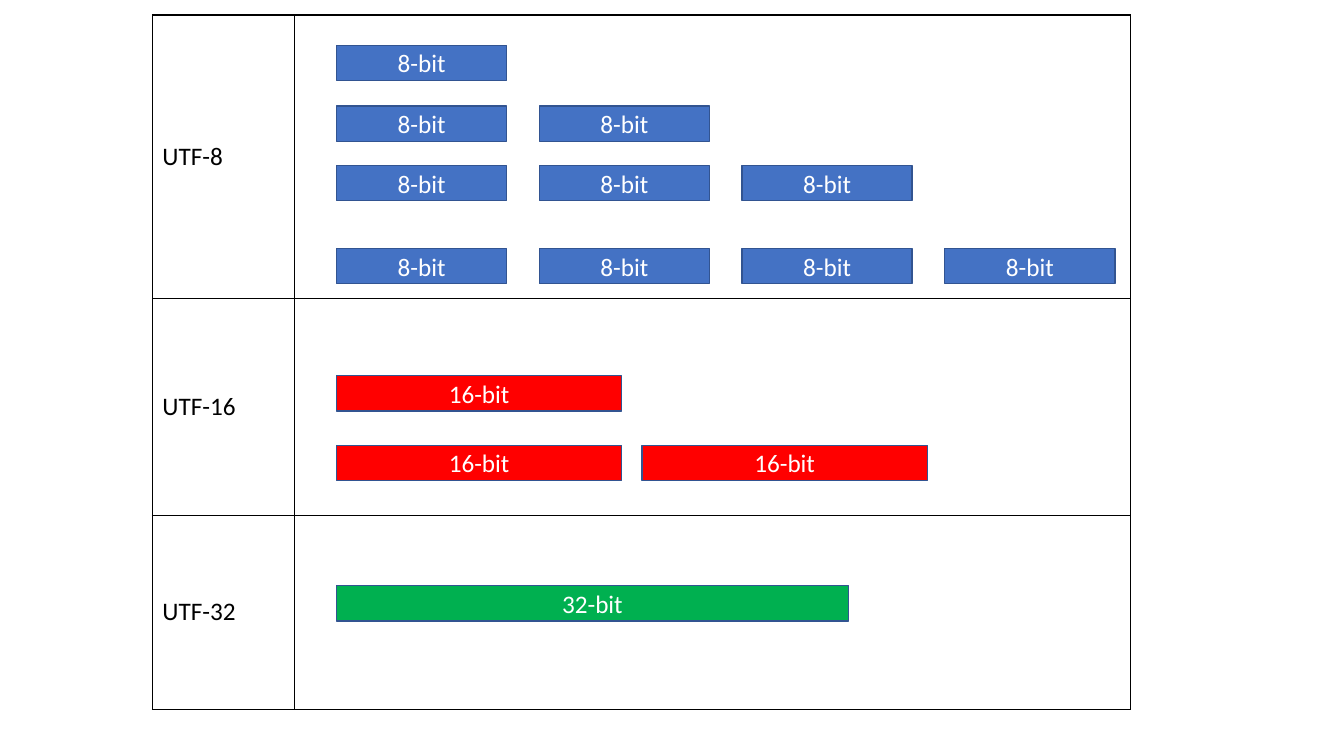
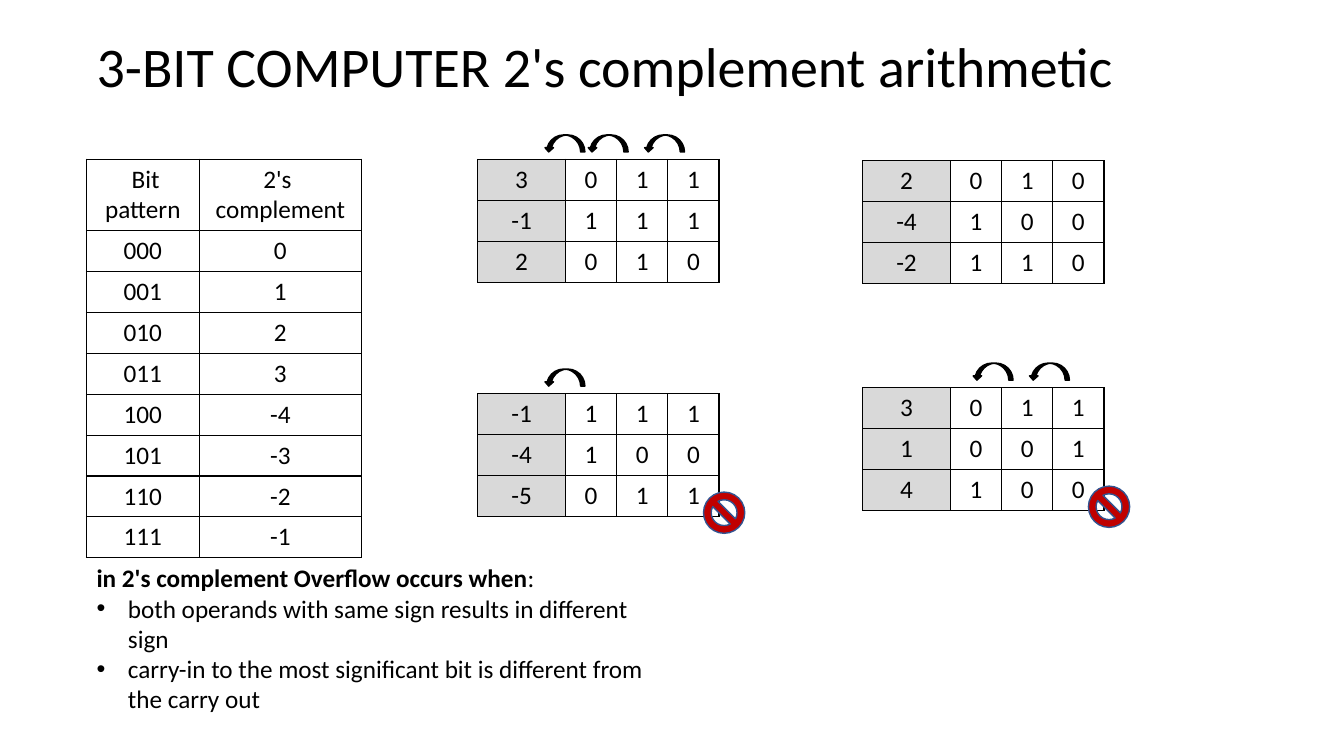
from pptx import Presentation
from pptx.dml.color import RGBColor
from pptx.enum.shapes import MSO_SHAPE
from pptx.enum.text import MSO_ANCHOR, MSO_AUTO_SIZE, PP_ALIGN
from pptx.oxml.ns import qn
from pptx.util import Cm, Pt
from lxml import etree

LEFT, CENTER = PP_ALIGN.LEFT, PP_ALIGN.CENTER
TOP, MIDDLE = MSO_ANCHOR.TOP, MSO_ANCHOR.MIDDLE
RECT, BAN = MSO_SHAPE.RECTANGLE, MSO_SHAPE.NO_SYMBOL
ARC = MSO_SHAPE.CURVED_DOWN_ARROW

# Shared look
FONT, SIZE = "Calibri", 18
BLACK, WHITE, GREY, NAVY = "000000", "FFFFFF", "D9D9D9", "325491"
BLUE, RED, GREEN, CRIMSON = "4472C4", "FF0000", "00B050", "C00000"
ROW = 1.03


def color(code):
    return RGBColor.from_string(code)


def style(para, code=BLACK, size=SIZE, align=LEFT):
    para.alignment = align
    para.font.name, para.font.size = FONT, Pt(size)
    para.font.color.rgb = color(code)


def border(cell):
    props = cell._tc.get_or_add_tcPr()
    for side in ("lnL", "lnR", "lnT", "lnB"):
        line = etree.SubElement(props, qn("a:" + side), w=str(Pt(1)))
        fill = etree.SubElement(line, qn("a:solidFill"))
        etree.SubElement(fill, qn("a:srgbClr"), val=BLACK)


def grid(slide, left, top, cols, rows, data, fill=None, align=CENTER,
         anchor=TOP):
    """Bordered table; cols and rows hold sizes in cm."""
    frame = slide.shapes.add_table(len(rows), len(cols), Cm(left), Cm(top),
                                   Cm(sum(cols)), Cm(sum(rows)))
    table = frame.table
    table.first_row = table.horz_banding = False
    for col, width in zip(table.columns, cols):
        col.width = Cm(width)
    for row, height, texts in zip(table.rows, rows, data):
        row.height = Cm(height)
        for cell, text in zip(row.cells, texts):
            cell.text = text
            cell.vertical_anchor = anchor
            for para in cell.text_frame.paragraphs:
                style(para, align=align)
            border(cell)
            if fill:
                cell.fill.solid()
                cell.fill.fore_color.rgb = color(fill)
            else:
                cell.fill.background()


def shape(slide, kind, left, top, width, height, fill, line=NAVY):
    item = slide.shapes.add_shape(kind, Cm(left), Cm(top), Cm(width),
                                  Cm(height))
    item.shadow.inherit = False
    item.fill.solid()
    item.fill.fore_color.rgb = color(fill)
    item.line.color.rgb = color(line)
    item.line.width = Pt(1)
    return item


def place(holder, left, top, width, height):
    holder.left, holder.top = Cm(left), Cm(top)
    holder.width, holder.height = Cm(width), Cm(height)
    frame = holder.text_frame
    frame.vertical_anchor = TOP
    frame.auto_size = MSO_AUTO_SIZE.NONE
    return frame


# Slide 1: code units of each encoding
def units(slide, left, top, label, fill, width, pitch, lines):
    """Line n holds n units; lines are offsets from the top of the row."""
    for count, drop in enumerate(lines, 1):
        for i in range(count):
            bar = shape(slide, RECT, left + 1.06 + i * pitch, top + drop,
                        width, 0.89, fill)
            frame = bar.text_frame
            frame.text = label
            frame.vertical_anchor = MIDDLE
            style(frame.paragraphs[0], WHITE, align=CENTER)


def codes(slide, left, top):
    cols = [3.58, 21.06]
    bands = [
        ("UTF-8", 7.14, "8-bit", BLUE, 4.29, 5.11, [0.76, 2.29, 3.79, 5.88]),
        ("UTF-16", 5.46, "16-bit", RED, 7.19, 7.7, [1.95, 3.7]),
        ("UTF-32", 4.9, "32-bit", GREEN, 12.9, 0, [1.78]),
    ]
    grid(slide, left, top, cols, [band[1] for band in bands],
         [(band[0], "") for band in bands], align=LEFT, anchor=MIDDLE)
    for name, height, *rest in bands:
        units(slide, left + cols[0], top, *rest)
        top += height


# Slide 2: two's complement
def values(slide, left, top):
    data = [(" Bit pattern", "2's \ncomplement")]
    data += [(f"{n:03b}", str(n if n < 4 else n - 8)) for n in range(8)]
    grid(slide, left, top, [2.84, 4.09], [1.78] + [ROW] * 8, data)


def addition(slide, left, top, terms, carries, over):
    """Terms with their bits, carry arrows above, sign on overflow."""
    rows = [ROW] * 3
    grid(slide, left + 2.21, top, [1.29] * 3, rows,
         [f"{n % 8:03b}" for n in terms])
    grid(slide, left, top, [2.21], rows, [[str(n)] for n in terms], GREY)
    for shift in carries:
        arc = shape(slide, ARC, left + shift, top - 0.62, 1.02, 0.43,
                    BLACK, BLACK)
        arc.rotation = 180
        arc._element.spPr.xfrm.set("flipV", "1")
    if over:
        shape(slide, BAN, left + 5.69, top + 2.48, 1.04, 1.04, CRIMSON)


def heading(slide, text):
    frame = place(slide.shapes.title, 2.18, 0.66, 26.72, 1.96)
    frame.text = text
    frame.word_wrap = False
    style(frame.paragraphs[0], size=40)


def rules(slide, left, top, lead, points):
    frame = place(slide.placeholders[1], left, top, 14.58, 4.11)
    frame.text = "\n".join([lead, *points])
    for i, para in enumerate(frame.paragraphs):
        style(para)
        para.space_before = Pt(0)
        props = para._p.get_or_add_pPr()
        hang = Cm(0.79) if i else 0
        props.set("marL", str(hang))
        props.set("indent", str(-hang))
        if i:
            etree.SubElement(props, qn("a:buFont"), typeface="Arial")
            etree.SubElement(props, qn("a:buChar"), char="•")
        else:
            etree.SubElement(props, qn("a:buNone"))
    # Bold lead, plain colon
    first = frame.paragraphs[0]
    first.runs[0].font.bold = True
    first.add_run().text = ":"


def bits(slide):
    heading(slide, "3-BIT COMPUTER 2's complement arithmetic ")
    values(slide, 2.18, 4.01)
    out, high, low = 1.68, 2.77, 4.19
    west, east = 12.04, 21.74
    addition(slide, west, 4.02, (3, -1, 2), (out, high, low), False)
    addition(slide, east, 4.05, (2, -4, -2), (), False)
    addition(slide, west, 9.92, (-1, -4, -5), (out,), True)
    addition(slide, east, 9.77, (3, 1, 4), (high, low), True)
    rules(slide, 2.18, 14.05, "in 2's complement Overflow occurs when", [
        "both operands with same sign results in different sign",
        "carry-in to the most significant bit is different from "
        "the carry out"])


deck = Presentation()
deck.slide_width, deck.slide_height = Cm(33.87), Cm(19.05)
codes(deck.slides.add_slide(deck.slide_layouts[6]), 3.84, 0.38)
bits(deck.slides.add_slide(deck.slide_layouts[1]))
deck.save("out.pptx")
